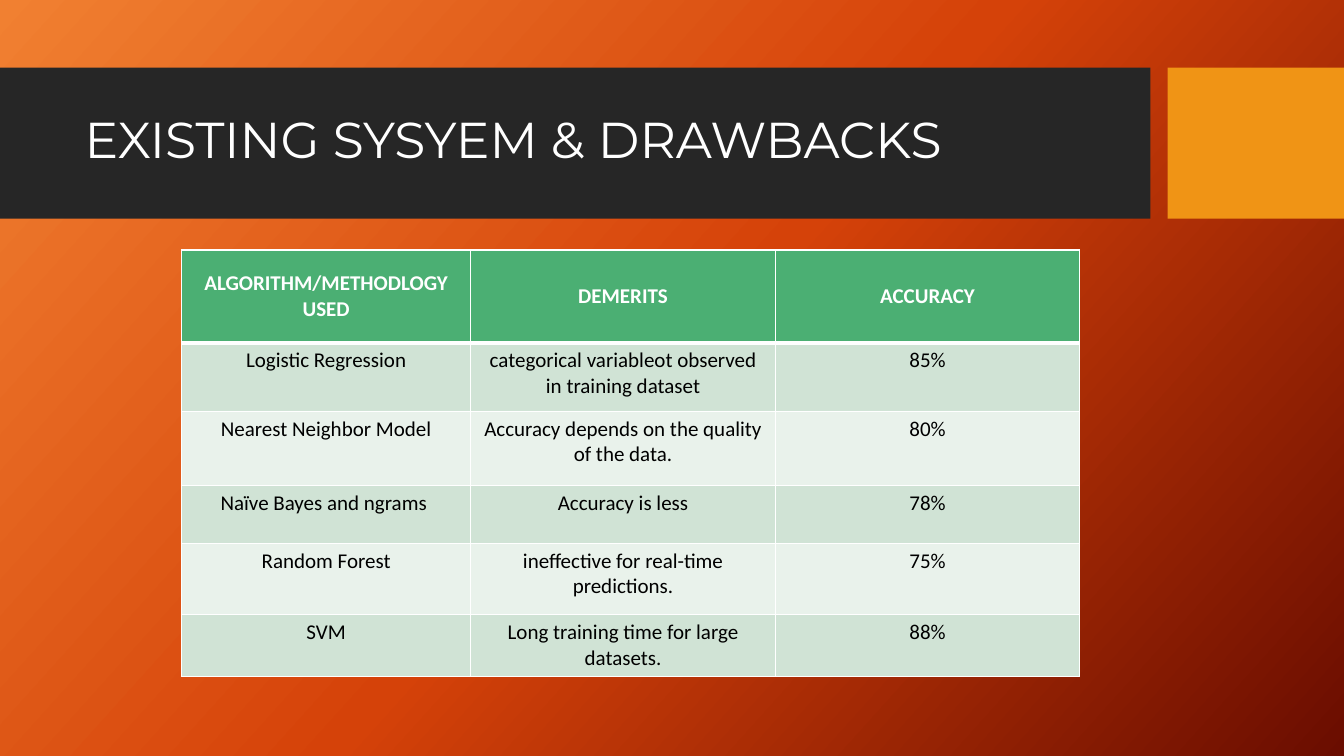
"""Build the slide on existing systems and their drawbacks."""
from copy import deepcopy

from pptx import Presentation
from pptx.dml.color import RGBColor as RGB
from pptx.enum.shapes import MSO_SHAPE as SHAPE
from pptx.enum.text import MSO_ANCHOR as ANCHOR, PP_ALIGN as ALIGN
from pptx.oxml import parse_xml
from pptx.oxml.ns import nsdecls, qn
from pptx.util import Inches, Pt

WHITE = RGB(0xFF, 0xFF, 0xFF)
BLACK = RGB(0x00, 0x00, 0x00)
CHARCOAL = RGB(0x26, 0x26, 0x26)
AMBER = RGB(0xF0, 0x94, 0x15)
GREEN = RGB(0x4B, 0xAF, 0x73)
BANDS = [RGB(0xE9, 0xF2, 0xEB), RGB(0xD0, 0xE3, 0xD5)]
BACKDROP = [(0, RGB(0xF1, 0x80, 0x31)), (0.5, RGB(0xD5, 0x42, 0x09)), (1, RGB(0x6A, 0x0D, 0x00))]

COLUMN_WIDTHS = [2.87, 3.02, 3.02]
ROW_HEIGHTS = [0.92, 0.68, 0.74, 0.57, 0.71, 0.6]
METHODS = [
    ("ALGORITHM/METHODLOGY USED", "DEMERITS", "ACCURACY"),
    ("Logistic Regression", "categorical variableot observed in training dataset", "85%"),
    ("Nearest Neighbor Model", "Accuracy depends on the quality of the data.", "80%"),
    ("Naïve Bayes and ngrams ", "Accuracy is less", "78%"),
    ("Random Forest", "ineffective for real-time predictions.", "75%"),
    ("SVM", "Long training time for large datasets.", "88%"),
]


def style_font(font, **values):
    for name, value in values.items():
        if name == "color":
            font.color.rgb = value
        else:
            setattr(font, name, value)


def add_border(cell, side, points):
    cell._tc.get_or_add_tcPr().append(parse_xml(
        f'<a:ln{side} {nsdecls("a")} w="{Pt(points)}"><a:solidFill>'
        f'<a:srgbClr val="{WHITE}"/></a:solidFill></a:ln{side}>'))


deck = Presentation()
deck.slide_width, deck.slide_height = Inches(13.33), Inches(7.5)
slide = deck.slides.add_slide(deck.slide_layouts[5])

backdrop = slide.background.fill
backdrop.gradient()
backdrop.gradient_angle = 360 - 42
stop_list = slide.element.find(".//" + qn("a:gsLst"))
stop_list.append(deepcopy(stop_list[0]))
for stop, (position, color) in zip(backdrop.gradient_stops, BACKDROP):
    stop.position = position
    stop.color.rgb = color

for left, width, color in [(0, 11.41, CHARCOAL), (11.58, 1.75, AMBER)]:
    band = slide.shapes.add_shape(
        SHAPE.RECTANGLE, Inches(left), Inches(0.67), Inches(width), Inches(1.5))
    band.shadow.inherit = False
    band.fill.solid()
    band.fill.fore_color.rgb = color
    band.line.fill.background()

title = slide.shapes.title
slide.shapes._spTree.append(title._element)
title.left, title.top = Inches(0.74), Inches(0.82)
title.width, title.height = Inches(10.51), Inches(1.18)
title.text_frame.text = "EXISTING SYSYEM & DRAWBACKS"
title.text_frame.vertical_anchor = ANCHOR.MIDDLE
heading = title.text_frame.paragraphs[0]
heading.alignment = ALIGN.LEFT
heading.line_spacing = 0.9
style_font(heading.runs[0].font, name="Montserrat", size=Pt(36), color=WHITE)

comparison = slide.shapes.add_table(
    len(METHODS), len(COLUMN_WIDTHS), Inches(1.8), Inches(2.48),
    Inches(sum(COLUMN_WIDTHS)), Inches(sum(ROW_HEIGHTS))).table
for column, width in zip(comparison.columns, COLUMN_WIDTHS):
    column.width = Inches(width)
for row, height in zip(comparison.rows, ROW_HEIGHTS):
    row.height = Inches(height)

for r, method in enumerate(METHODS):
    header = r == 0
    for c, text in enumerate(method):
        cell = comparison.cell(r, c)
        cell.text = text
        cell.vertical_anchor = ANCHOR.MIDDLE if header else ANCHOR.TOP
        for side, points in {"L": 1, "R": 1, "T": 3 if r == 1 else 1, "B": 3 if header else 1}.items():
            add_border(cell, side, points)
        cell.fill.solid()
        cell.fill.fore_color.rgb = GREEN if header else BANDS[r % 2]
        entry = cell.text_frame.paragraphs[0]
        entry.alignment = ALIGN.CENTER
        style_font(entry.runs[0].font, name="Calibri", size=Pt(15), bold=header,
                   color=WHITE if header else BLACK)

deck.save("out.pptx")
